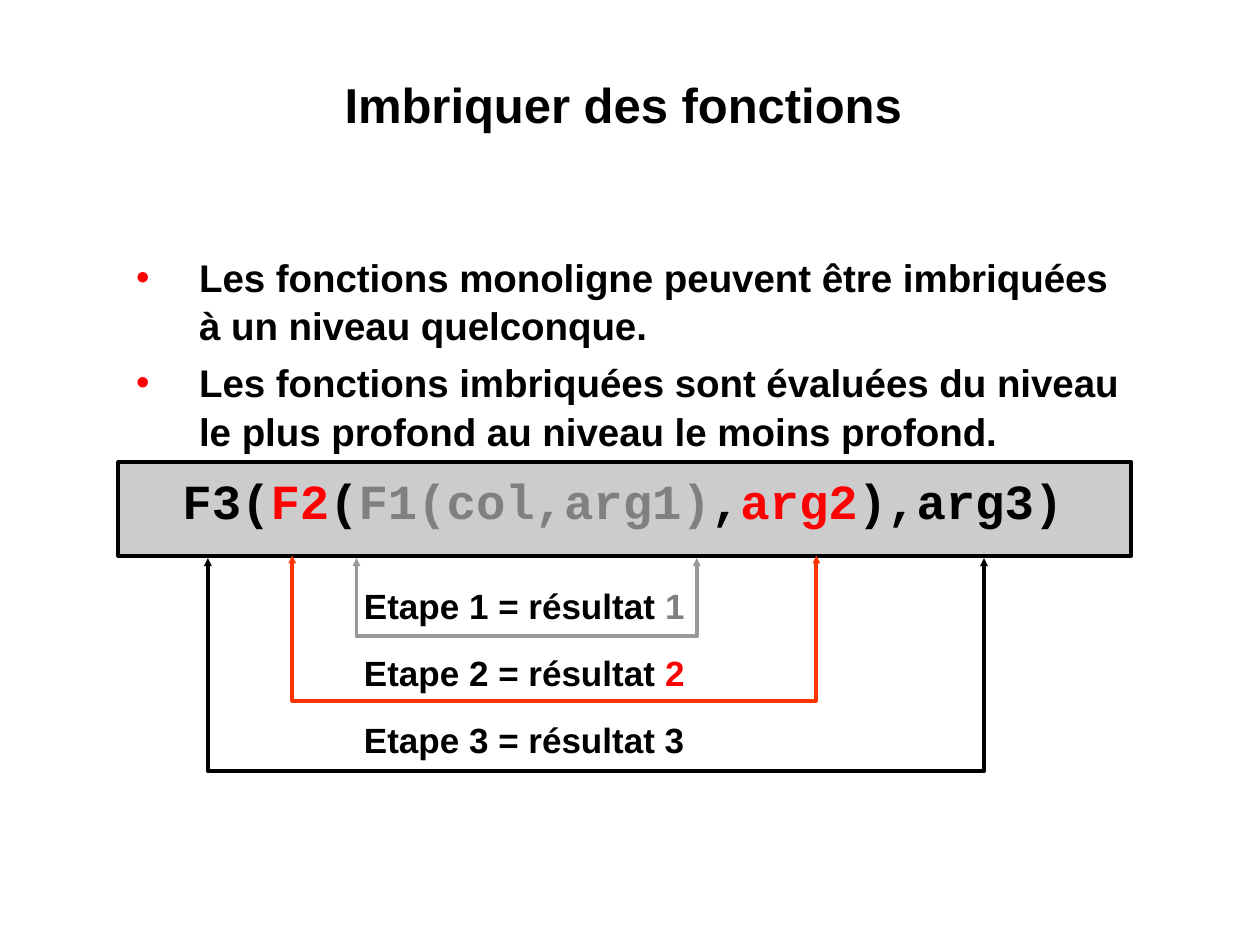
from typing import NamedTuple

from lxml import etree
from pptx import Presentation
from pptx.dml.color import RGBColor
from pptx.enum.shapes import MSO_SHAPE
from pptx.enum.text import MSO_ANCHOR, MSO_AUTO_SIZE, PP_ALIGN
from pptx.oxml.ns import qn
from pptx.util import Inches, Pt

RECT = MSO_SHAPE.RECTANGLE
TOP = MSO_ANCHOR.TOP
NO_FIT = MSO_AUTO_SIZE.NONE
CENTER = PP_ALIGN.CENTER
LEFT = PP_ALIGN.LEFT

BLACK = "000000"
RED = "FF0000"
GRAY = "808080"


class Bracket(NamedTuple):
    left: float
    right: float
    top: float
    bottom: float
    color: str


class Step(NamedTuple):
    number: str
    color: str


BULLETS = [
    "Les fonctions monoligne peuvent être imbriquées à un niveau quelconque.",
    "Les fonctions imbriquées sont évaluées du niveau le plus profond au niveau le moins profond.",
]
CODE = [("F3(", BLACK), ("F2", RED), ("(", BLACK), ("F1(col,arg1)", GRAY),
        (",", BLACK), ("arg2", RED), ("),arg3)", BLACK)]
STEPS = [Step("1", GRAY), Step("2", RED), Step("3", BLACK)]
STEP_TOP = 4.59
STEP_PITCH = 0.53
BRACKETS = [
    Bracket(1.65, 7.81, 4.43, 6.12, BLACK),
    Bracket(2.32, 6.48, 4.41, 5.56, "FF3300"),
    Bracket(2.83, 5.53, 4.43, 5.05, "999999"),
]


def rgb(color: str) -> RGBColor:
    return RGBColor.from_string(color)


def add_text(p, text: str, *, size: float, color: str = BLACK, font: str = "Arial") -> None:
    r = p.add_run()
    r.text = text
    r.font.name = font
    r.font.size = Pt(size)
    r.font.bold = True
    r.font.color.rgb = rgb(color)


def place(sp, left: float, top: float, width: float, height: float) -> None:
    sp.left, sp.top = Inches(left), Inches(top)
    sp.width, sp.height = Inches(width), Inches(height)


def frame_placeholder(sp):
    tf = sp.text_frame
    tf.auto_size = NO_FIT
    tf.vertical_anchor = TOP
    tf.margin_left = tf.margin_right = Inches(0.01)
    tf.margin_top = tf.margin_bottom = Inches(0.01)
    return tf


def add_label(slide, left: float, top: float, width: float, height: float):
    sp = slide.shapes.add_textbox(Inches(left), Inches(top), Inches(width), Inches(height))
    sp.text_frame.word_wrap = False
    return sp.text_frame.paragraphs[0]


def set_bullet(p, color: str) -> None:
    pPr = p._p.get_or_add_pPr()
    pPr.set("marL", str(Inches(0.63)))
    pPr.set("indent", str(Inches(-0.5)))
    clr = etree.SubElement(pPr, qn("a:buClr"))
    etree.SubElement(clr, qn("a:srgbClr"), val=color)
    etree.SubElement(pPr, qn("a:buFont"), typeface="Arial")
    etree.SubElement(pPr, qn("a:buChar"), char="•")


def add_bracket(slide, b: Bracket) -> None:
    fb = slide.shapes.build_freeform(Inches(b.left), Inches(b.top))
    corners = [(b.left, b.bottom), (b.right, b.bottom), (b.right, b.top)]
    fb.add_line_segments([(Inches(x), Inches(y)) for x, y in corners], close=False)
    sp = fb.convert_to_shape()
    sp.shadow.inherit = False
    sp.fill.background()
    sp.line.color.rgb = rgb(b.color)
    sp.line.width = Pt(2.25)
    ln = sp.line._get_or_add_ln()
    etree.SubElement(ln, qn("a:round"))
    for end in ("a:headEnd", "a:tailEnd"):
        etree.SubElement(ln, qn(end), type="triangle", w="sm", len="sm")


def main() -> None:
    prs = Presentation()
    prs.slide_width, prs.slide_height = Inches(10), Inches(7.5)
    slide = prs.slides.add_slide(prs.slide_layouts[1])

    title = slide.shapes.title
    place(title, 1, 0.58, 8, 0.96)
    p = frame_placeholder(title).paragraphs[0]
    p.alignment = CENTER
    p.space_before = Pt(7)
    add_text(p, "Imbriquer des fonctions ", size=28)

    body = slide.placeholders[1]
    place(body, 0.94, 1.99, 8.06, 1.57)
    tf = frame_placeholder(body)
    for i, text in enumerate(BULLETS):
        p = tf.add_paragraph() if i else tf.paragraphs[0]
        p.alignment = LEFT
        p.space_before = Pt(5.5)
        p.line_spacing = 1.04
        set_bullet(p, RED)
        add_text(p, text, size=22)

    panel = slide.shapes.add_shape(RECT, Inches(0.94), Inches(3.67), Inches(8.04), Inches(0.74))
    panel.shadow.inherit = False
    panel.fill.solid()
    panel.fill.fore_color.rgb = rgb("CCCCCC")
    panel.line.color.rgb = rgb(BLACK)
    panel.line.width = Pt(2.25)

    p = add_label(slide, 1.35, 3.85, 7.43, 0.41)
    p.line_spacing = Pt(22)
    p.space_before = Pt(17.5)
    for text, color in CODE:
        add_text(p, text, size=28, color=color, font="Courier New")

    for i, step in enumerate(STEPS):
        p = add_label(slide, 2.79, STEP_TOP + i * STEP_PITCH, 2.75, 0.43)
        add_text(p, f"Etape {step.number} = résultat ", size=20)
        add_text(p, step.number, size=20, color=step.color)

    for bracket in BRACKETS:
        add_bracket(slide, bracket)

    prs.save("out.pptx")


if __name__ == "__main__":
    main()
